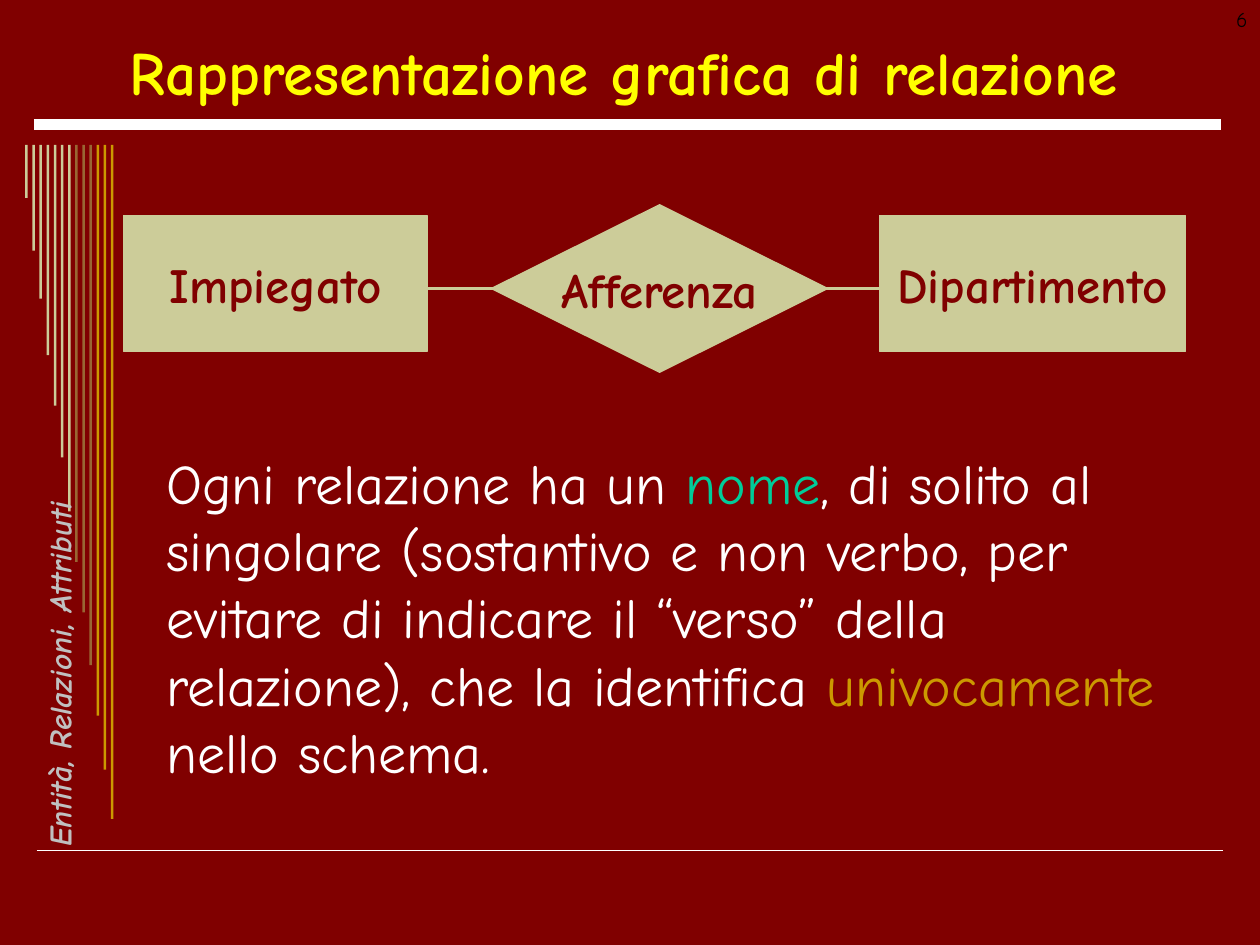
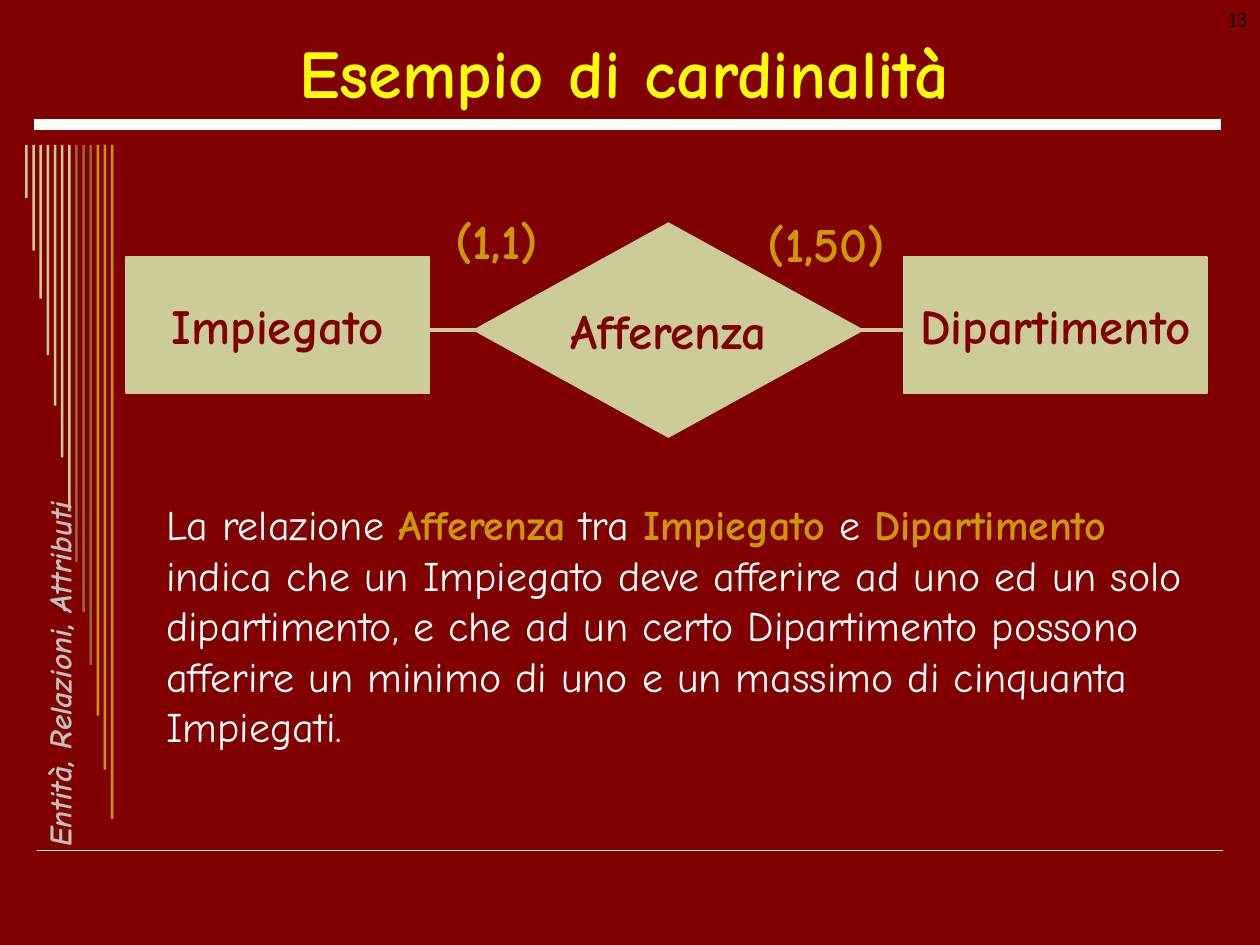
import pptx
import pptx.util
from pptx.dml.color import RGBColor
from pptx.enum.shapes import MSO_CONNECTOR, MSO_SHAPE
from pptx.enum.text import MSO_ANCHOR, PP_ALIGN
from pptx.oxml.ns import qn
from pptx.util import Inches
from lxml import etree

# Shared look
FONT = "Comic Neue"
MAROON, WHITE, YELLOW, BLACK = "800000", "FFFFFF", "FFFF00", "000000"
SAND, BROWN, GOLD = "CCCC99", "996633", "CC9900"
GREEN, SILVER = "00CC99", "C0C0C0"

COURSE_TOPIC = "Entità, Relazioni, Attributi"
STRIPE_LEFT, STRIPE_TOP, STRIPE_SPAN, STRIPE_WIDTH = 0.2, 1.15, 0.68, 0.02
STRIPE_GROUPS = [
    (SAND, [0.42, 0.84, 1.22, 1.67, 2.07, 2.48, 2.91]),
    (BROWN, [3.31, 3.71, 4.13]),
    (GOLD, [4.53, 4.96, 5.35]),
]
ENTITY_HEIGHT, ENTITY_RISE = 1.08, 0.58

# Slide content: entities are (name, left, width); body runs are (text, colour, bold)
SLIDES = [
    {
        "title": "Rappresentazione grafica di relazione", "title_size": 35, "number": "6",
        "axis": 2.29, "link": (3.06, 7.15),
        "entities": [("Impiegato", 0.98, 2.41), ("Dipartimento", 6.98, 2.43)],
        "relation": ("Afferenza", 3.9, 2.67, 1.33),
        "cardinalities": [],
        "body_box": (1.22, 3.51, 8.19, 2.77), "body_size": 32,
        "body": [
            ("Ogni relazione ha un ", WHITE, False),
            ("nome", GREEN, False),
            (", di solito al singolare (sostantivo e non verbo, per evitare di indicare "
             "il “verso” della relazione), che la identifica ", WHITE, False),
            ("univocamente ", GOLD, False),
            ("nello schema.", WHITE, False),
        ],
    },
    {
        "title": "Esempio di cardinalità", "title_size": 39, "number": "13",
        "axis": 2.62, "link": (3.26, 7.4),
        "entities": [("Impiegato", 1, 2.41), ("Dipartimento", 7.17, 2.41)],
        "relation": ("Afferenza", 3.76, 3.09, 1.7),
        "cardinalities": [("(1,1)", (3.34, 1.62, 1.2, 0.57)),
                          ("(1,50)", (5.96, 1.64, 1.2, 0.57))],
        "body_box": (1.22, 3.91, 8.27, 2.1), "body_size": 24,
        "body": [
            ("La relazione ", WHITE, False),
            ("Afferenza", GOLD, True),
            (" tra ", WHITE, False),
            ("Impiegato", GOLD, True),
            (" e ", WHITE, False),
            ("Dipartimento", GOLD, True),
            (" indica che un Impiegato deve afferire ad uno ed un solo dipartimento, "
             "e che ad un certo Dipartimento possono afferire un minimo di uno e un "
             "massimo di cinquanta Impiegati.", WHITE, False),
        ],
    },
]


def colour(hex_string):
    return RGBColor.from_string(hex_string)


def write(shape, text, size, hex_string, bold=False, italic=False,
          align=PP_ALIGN.LEFT, anchor=MSO_ANCHOR.TOP):
    """Fill a shape with one paragraph and return that paragraph."""
    frame = shape.text_frame
    frame.word_wrap = True
    frame.vertical_anchor = anchor
    paragraph = frame.paragraphs[0]
    paragraph.text = text
    paragraph.alignment = align
    font = paragraph.font
    font.name, font.size = FONT, pptx.util.Pt(size)
    font.bold, font.italic = bold, italic
    font.color.rgb = colour(hex_string)
    return paragraph


def add_text(slide, box, *args, **options):
    shape = slide.shapes.add_textbox(*map(Inches, box))
    write(shape, *args, **options)
    return shape


def add_filled(slide, kind, box, hex_string, outlined=False):
    shape = slide.shapes.add_shape(kind, *map(Inches, box))
    shape.shadow.inherit = False
    shape.fill.solid()
    shape.fill.fore_color.rgb = colour(hex_string)
    if outlined:
        shape.line.color.rgb = colour(hex_string)
        shape.line.width = pptx.util.Pt(0.75)
    else:
        shape.line.fill.background()
    return shape


def add_rule(slide, left, right, y, hex_string, width):
    line = slide.shapes.add_connector(
        MSO_CONNECTOR.STRAIGHT, Inches(left), Inches(y), Inches(right), Inches(y))
    line.line.color.rgb = colour(hex_string)
    line.line.width = pptx.util.Pt(width)
    etree.SubElement(line._element.spPr, qn("a:effectLst"))


def add_frame(slide):
    """Background, rules, stripes and the vertical course topic."""
    slide.background.fill.solid()
    slide.background.fill.fore_color.rgb = colour(MAROON)
    add_rule(slide, 0.29, 9.71, 6.75, WHITE, 1)
    add_rule(slide, 0.27, 9.69, 0.99, WHITE, 6)
    stripes = [(shade, height) for shade, heights in STRIPE_GROUPS for height in heights]
    step = STRIPE_SPAN / (len(stripes) - 1)
    for index, (shade, height) in enumerate(stripes):
        box = (STRIPE_LEFT + index * step, STRIPE_TOP, STRIPE_WIDTH, height)
        add_filled(slide, MSO_SHAPE.RECTANGLE, box, shade)
    topic = add_text(slide, (-1.11, 5.2, 3, 0.24), COURSE_TOPIC, 18, SILVER,
                     bold=True, italic=True)
    topic.rotation = 270


def add_diagram(slide, content):
    """Two entities joined through a relation, all placed around one axis."""
    label = dict(size=28, bold=True, align=PP_ALIGN.CENTER, anchor=MSO_ANCHOR.MIDDLE)
    axis = content["axis"]
    add_rule(slide, *content["link"], axis, SAND, 2.25)
    name, left, width, height = content["relation"]
    nodes = [(MSO_SHAPE.DIAMOND, name, (left, axis - height / 2, width, height))]
    for name, left, width in content["entities"]:
        box = (left, axis - ENTITY_RISE, width, ENTITY_HEIGHT)
        nodes.append((MSO_SHAPE.RECTANGLE, name, box))
    for kind, name, box in nodes:
        shape = add_filled(slide, kind, box, SAND, outlined=True)
        write(shape, name, hex_string=MAROON, **label)
        shape.text_frame.word_wrap = False
    for cardinality, box in content["cardinalities"]:
        add_text(slide, box, cardinality, hex_string=GOLD, **label)


def add_body(slide, content):
    shape = slide.shapes.add_textbox(*map(Inches, content["body_box"]))
    paragraph = write(shape, "", content["body_size"], WHITE)
    for text, shade, bold in content["body"]:
        run = paragraph.add_run()
        run.text = text
        run.font.name, run.font.size = FONT, pptx.util.Pt(content["body_size"])
        run.font.bold = bold
        run.font.color.rgb = colour(shade)


def main():
    presentation = pptx.Presentation()
    presentation.slide_width, presentation.slide_height = Inches(10), Inches(7.5)
    for content in SLIDES:
        slide = presentation.slides.add_slide(presentation.slide_layouts[6])
        add_frame(slide)
        add_text(slide, (0.35, 0.21, 9.21, 0.71), content["title"], content["title_size"],
                 YELLOW, bold=True, align=PP_ALIGN.CENTER, anchor=MSO_ANCHOR.MIDDLE)
        add_diagram(slide, content)
        add_body(slide, content)
        add_text(slide, (7.67, 0, 2.33, 0.5), content["number"], 12, BLACK,
                 align=PP_ALIGN.RIGHT)
    presentation.save("out.pptx")


if __name__ == "__main__":
    main()
